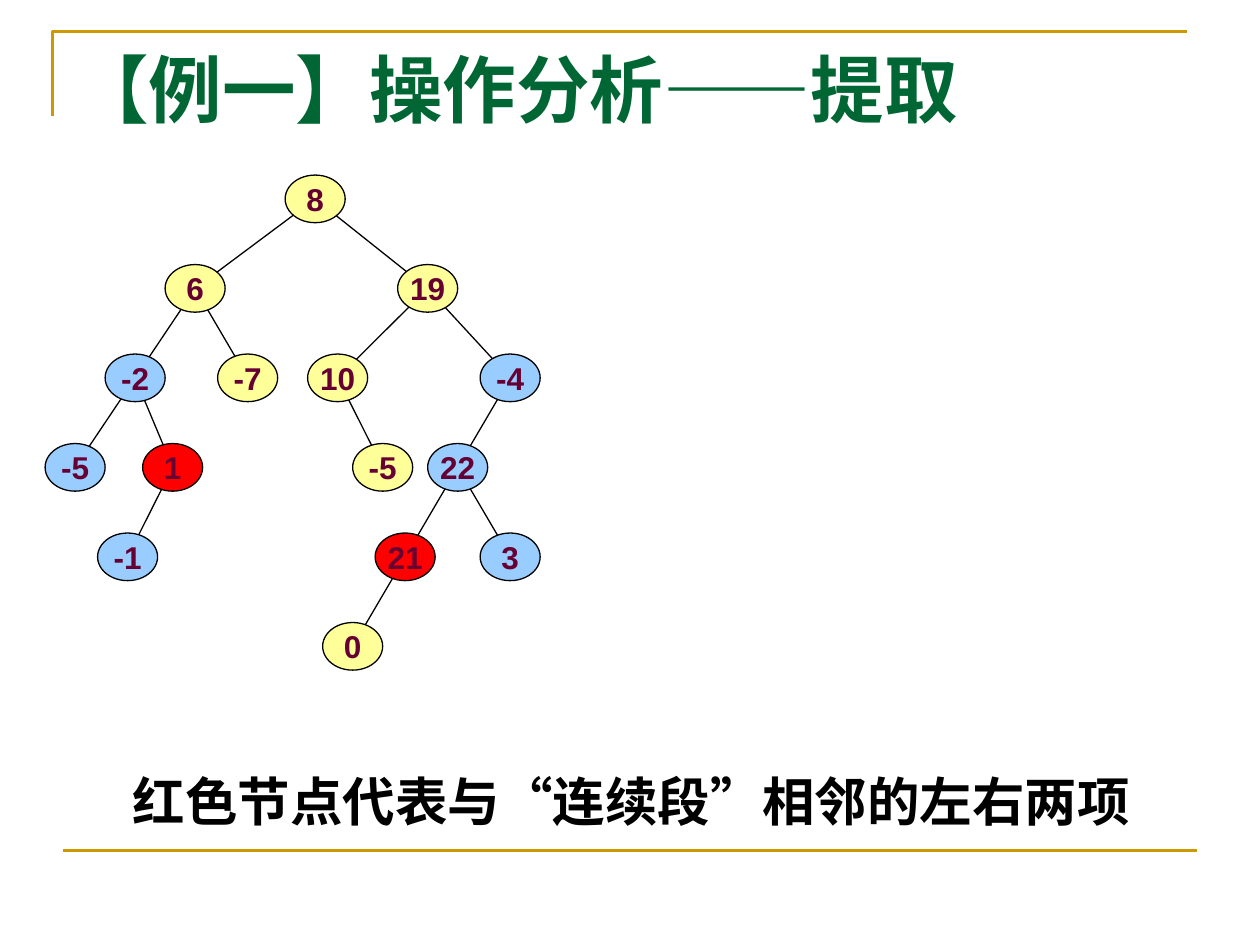
from pptx import Presentation
from pptx.dml.color import RGBColor
from pptx.enum.shapes import MSO_CONNECTOR, MSO_SHAPE
from pptx.enum.text import MSO_ANCHOR, PP_ALIGN
from pptx.oxml.ns import qn
from pptx.util import Cm, Pt
from lxml.etree import SubElement

GOLD = RGBColor(0xCC, 0x99, 0x00)
GREEN = RGBColor(0x00, 0x66, 0x33)
PLUM = RGBColor(0x66, 0x00, 0x33)
BLACK = RGBColor(0x00, 0x00, 0x00)
YELLOW = RGBColor(0xFF, 0xFF, 0x99)
BLUE = RGBColor(0x99, 0xCC, 0xFF)
RED = RGBColor(0xFF, 0x00, 0x00)

# Each node: label, column (left edge, in grid units), level, fill, parent index
NODES = [
    ("8", 32, 0, YELLOW, None),
    ("6", 16, 1, YELLOW, 0),
    ("19", 47, 1, YELLOW, 0),
    ("-2", 8, 2, BLUE, 1),
    ("-7", 23, 2, YELLOW, 1),
    ("10", 35, 2, YELLOW, 2),
    ("-4", 58, 2, BLUE, 2),
    ("-5", 0, 3, BLUE, 3),
    ("1", 13, 3, RED, 3),
    ("-5", 41, 3, YELLOW, 5),
    ("22", 51, 3, BLUE, 6),
    ("-1", 7, 4, BLUE, 8),
    ("21", 44, 4, RED, 10),
    ("3", 58, 4, BLUE, 10),
    ("0", 37, 5, YELLOW, 12),
]
GRID_COLUMNS = 66
NODE_COLUMNS = 8
NODE_HEIGHT = 0.96


def add_line(slide, start, end, color, width):
    line = slide.shapes.add_connector(
        MSO_CONNECTOR.STRAIGHT, Cm(start[0]), Cm(start[1]), Cm(end[0]), Cm(end[1]))
    line.line.color.rgb = color
    line.line.width = Pt(width)
    SubElement(line._element.spPr, qn("a:effectLst"))


def add_run(paragraph, text, size, font, color):
    run = paragraph.add_run()
    run.text = text
    run.font.size = Pt(size)
    run.font.name = font
    run.font.bold = True
    run.font.color.rgb = color


def add_text(slide, box, text, size, font, color, alignment, spacing=1.0):
    frame = slide.shapes.add_textbox(*map(Cm, box)).text_frame
    frame.word_wrap = True
    paragraph = frame.paragraphs[0]
    paragraph.alignment = alignment
    paragraph.line_spacing = spacing
    add_run(paragraph, text, size, font, color)


def add_frame(slide, left, top, width, height):
    # Corner bracket around the title
    bracket_height = 1.7
    builder = slide.shapes.build_freeform(Cm(left), Cm(top + bracket_height))
    builder.add_line_segments(
        [(Cm(left), Cm(top)), (Cm(left + width), Cm(top))], close=False)
    bracket = builder.convert_to_shape()
    bracket.shadow.inherit = False
    bracket.fill.background()
    bracket.line.color.rgb = GOLD
    bracket.line.width = Pt(1.5)

    # Bottom rule, shifted slightly to the right
    rule_left, bottom = left + 0.21, top + height
    add_line(slide, (rule_left, bottom), (rule_left + width, bottom), GOLD, 1.5)


def add_tree(slide, left, top, width, height):
    unit = width / GRID_COLUMNS
    node_width = NODE_COLUMNS * unit
    level_step = (height - NODE_HEIGHT) / max(node[2] for node in NODES)
    centers = [(left + column * unit + node_width / 2,
                top + level * level_step + NODE_HEIGHT / 2)
               for _, column, level, _, _ in NODES]

    # Edges lie behind the nodes
    for center, node in zip(centers, NODES):
        parent = node[4]
        if parent is not None:
            add_line(slide, centers[parent], center, BLACK, 0.75)

    # Nodes
    for (x, y), (label, _, _, fill, _) in zip(centers, NODES):
        ellipse = slide.shapes.add_shape(
            MSO_SHAPE.OVAL, Cm(x - node_width / 2), Cm(y - NODE_HEIGHT / 2),
            Cm(node_width), Cm(NODE_HEIGHT))
        ellipse.shadow.inherit = False
        ellipse.fill.solid()
        ellipse.fill.fore_color.rgb = fill
        ellipse.line.color.rgb = BLACK
        ellipse.line.width = Pt(0.75)
        frame = ellipse.text_frame
        frame.word_wrap = False
        frame.vertical_anchor = MSO_ANCHOR.MIDDLE
        paragraph = frame.paragraphs[0]
        paragraph.alignment = PP_ALIGN.CENTER
        add_run(paragraph, label, 18, "Arial", PLUM)


def main():
    presentation = Presentation()
    presentation.slide_width = Cm(25.4)
    presentation.slide_height = Cm(19.05)
    slide = presentation.slides.add_slide(presentation.slide_layouts[6])

    add_frame(slide, 1.06, 0.64, 22.86, 16.51)
    add_tree(slide, 0.91, 3.53, 9.98, 9.98)
    # Caption
    add_text(slide, (1.3, 15.52, 22.86, 1.5), "红色节点代表与“连续段”相邻的左右两项",
             30, "Arial", BLACK, PP_ALIGN.CENTER, 0.9)
    # Title
    add_text(slide, (1.27, 0.76, 22.86, 3.18), "【例一】操作分析——提取",
             42, "Times New Roman", GREEN, PP_ALIGN.LEFT)

    presentation.save("out.pptx")


if __name__ == "__main__":
    main()
